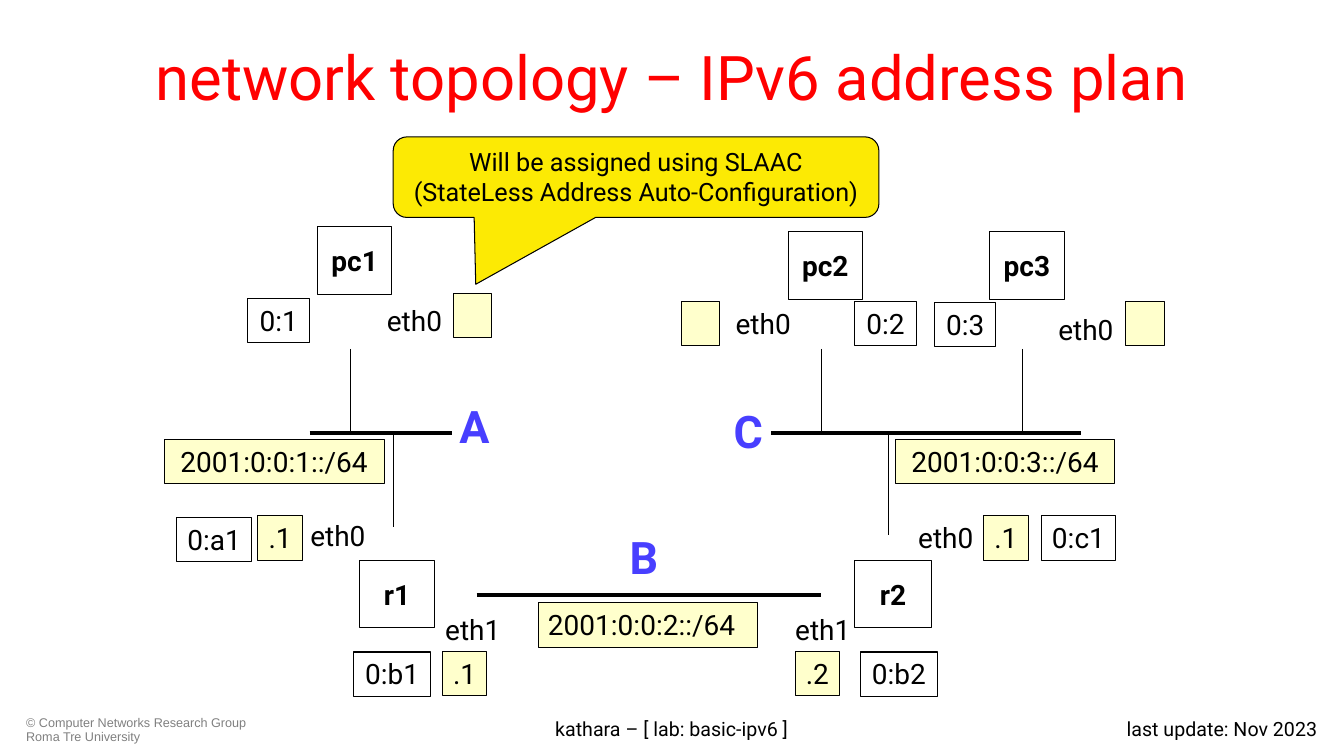
import pptx
import pptx.util
import pptx.dml.color
import pptx.enum.shapes
import pptx.enum.text
import pptx.oxml.ns
import lxml.etree

Cm, Pt = pptx.util.Cm, pptx.util.Pt
ALIGN = pptx.enum.text.PP_ALIGN
ANCHOR = pptx.enum.text.MSO_ANCHOR
PRESET = pptx.enum.shapes.MSO_SHAPE

COLORS = {"title": "FF0000", "black": "000000", "gray": "808080", "segment": "483FFF",
          "white": "FFFFFF", "address": "FFFFCC", "callout": "FCEA04"}

# Lengths in cm
TITLE = ("network topology – IPv6 address plan", 1.7, 0.33, 30.48, 3.18)
CALLOUT = ("Will be assigned using SLAAC\v(StateLess Address Auto-Configuration)",
           9.91, 3.45, 12.24, 2.03)
FOOTERS = [  # text, left, width, alignment, format
    ("© Computer Networks Research Group Roma Tre University", 0.41, 6.32, ALIGN.LEFT,
     {"size": 9, "name": "Arial", "color": "gray"}),
    ("kathara – [ lab: basic-ipv6 ]", 8.66, 16.54, ALIGN.CENTER, {"size": 14}),
    ("last update: Nov 2023", 25.73, 7.72, ALIGN.RIGHT, {"size": 14}),
]
FOOTER_TOP, FOOTER_HEIGHT = 17.93, 0.91

SEGMENTS = [  # letter, its left and top, line start, line end, line height
    ("A", 11.33, 9.93, 7.8, 11.38, 10.92),
    ("B", 15.62, 13.23, 12.01, 20.7, 14.99),
    ("C", 18.24, 10.06, 19.43, 27.25, 10.92),
]
DROPS = [  # x, top, bottom
    (8.84, 8.79, 10.92), (20.7, 8.79, 10.92), (25.78, 8.79, 10.92),
    (9.91, 10.92, 13.28), (22.4, 10.92, 13.49),
]
NODES = [  # name, left, top, width
    ("pc1", 8.0, 5.72, 1.88), ("pc2", 19.86, 5.84, 1.88), ("pc3", 24.94, 5.84, 1.88),
    ("r1", 9.07, 14.12, 1.88), ("r2", 21.54, 14.12, 1.93),
]
INTERFACES = [  # name, left, top
    ("eth0", 9.5, 7.52), ("eth0", 18.29, 7.59), ("eth0", 26.42, 7.75),
    ("eth0", 7.57, 12.95), ("eth0", 22.89, 12.98),
    ("eth1", 10.97, 15.32), ("eth1", 19.79, 15.32),
]
LABELS = {  # fill: text, left, top, width, alignment
    "address": [
        ("2001:0:0:1::/64", 4.14, 11.07, 5.54, ALIGN.CENTER),
        ("2001:0:0:2::/64", 13.56, 15.19, 5.54, ALIGN.LEFT),
        ("2001:0:0:3::/64", 22.56, 11.07, 5.54, ALIGN.CENTER),
        ("", 11.43, 7.39, 0.97, ALIGN.CENTER),
        ("", 17.17, 7.59, 0.97, ALIGN.CENTER),
        ("", 28.37, 7.59, 0.97, ALIGN.CENTER),
        (".1", 6.5, 13.0, 1.12, ALIGN.CENTER),
        (".1", 24.79, 13.0, 1.12, ALIGN.CENTER),
        (".1", 11.15, 16.41, 1.12, ALIGN.CENTER),
        (".2", 20.04, 16.41, 1.12, ALIGN.CENTER),
    ],
    "white": [
        ("0:1", 6.25, 7.52, 1.55, ALIGN.CENTER),
        ("0:2", 21.54, 7.59, 1.55, ALIGN.CENTER),
        ("0:3", 23.55, 7.62, 1.55, ALIGN.CENTER),
        ("0:a1", 4.45, 13.03, 1.9, ALIGN.CENTER),
        ("0:c1", 26.24, 13.0, 1.88, ALIGN.CENTER),
        ("0:b1", 8.92, 16.43, 1.93, ALIGN.CENTER),
        ("0:b2", 21.69, 16.43, 1.93, ALIGN.CENTER),
    ],
}
LABEL_HEIGHT = 1.12


def rgb(name):
    return pptx.dml.color.RGBColor.from_string(COLORS[name])


def write(shape, text, align=ALIGN.LEFT, anchor=ANCHOR.TOP, wrap=True,
          size=20, color="black", name="Roboto", bold=False):
    frame = shape.text_frame
    for key, value in {"word_wrap": wrap, "vertical_anchor": anchor,
                       "auto_size": pptx.enum.text.MSO_AUTO_SIZE.NONE}.items():
        setattr(frame, key, value)
    para = frame.paragraphs[0]
    para.text = text
    para.alignment = align
    for span in para.runs:
        for key, value in {"size": Pt(size), "name": name, "bold": bold}.items():
            setattr(span.font, key, value)
        span.font.color.rgb = rgb(color)


def add_text(page, text, left, top, width, height, **style):
    box = page.shapes.add_textbox(Cm(left), Cm(top), Cm(width), Cm(height))
    write(box, text, **style)
    return box


def add_box(page, text, left, top, width, height, fill, preset=PRESET.RECTANGLE, **style):
    box = page.shapes.add_shape(preset, Cm(left), Cm(top), Cm(width), Cm(height))
    box.shadow.inherit = False
    box.fill.solid()
    box.fill.fore_color.rgb = rgb(fill)
    box.line.color.rgb = rgb("black")
    box.line.width = Pt(0.75)
    if text:
        write(box, text, **style)
    return box


def add_line(page, x1, y1, x2, y2, width):
    line = page.shapes.add_connector(pptx.enum.shapes.MSO_CONNECTOR.STRAIGHT,
                                     Cm(x1), Cm(y1), Cm(x2), Cm(y2))
    line.line.color.rgb = rgb("black")
    line.line.width = Pt(width)
    lxml.etree.SubElement(line._element.spPr, pptx.oxml.ns.qn("a:effectLst"))


def main():
    deck = pptx.Presentation()
    deck.slide_width, deck.slide_height = Cm(33.87), Cm(19.05)
    page = deck.slides.add_slide(deck.slide_layouts[5])

    title = page.shapes.title
    for key, value in zip(("left", "top", "width", "height"), TITLE[1:]):
        setattr(title, key, Cm(value))
    write(title, TITLE[0], ALIGN.CENTER, ANCHOR.MIDDLE, size=44, color="title")

    for text, left, width, align, style in FOOTERS:
        box = add_text(page, text, left, FOOTER_TOP, width, FOOTER_HEIGHT, align=align, **style)
        if align == ALIGN.LEFT:
            box.text_frame.paragraphs[0].line_spacing = 0.9

    for x, top, bottom in DROPS:
        add_line(page, x, top, x, bottom, 0.75)
    for letter, left, top, start, end, y in SEGMENTS:
        add_line(page, start, y, end, y, 3)
        add_text(page, letter, left, top, 1.3, 1.63, wrap=False,
                 size=32, color="segment", bold=True)
    for name, left, top, width in NODES:
        add_box(page, name, left, top, width, 1.7, "white", align=ALIGN.CENTER,
                anchor=ANCHOR.MIDDLE, wrap=False, bold=True)
    for name, left, top in INTERFACES:
        add_text(page, name, left, top, 1.9, LABEL_HEIGHT, wrap=False)
    for fill, labels in LABELS.items():
        for text, left, top, width, align in labels:
            box = add_box(page, text, left, top, width, LABEL_HEIGHT, fill, align=align)
            if align == ALIGN.CENTER:
                box.text_frame.margin_left = box.text_frame.margin_right = 0

    callout = add_box(page, *CALLOUT, "callout", PRESET.ROUNDED_RECTANGULAR_CALLOUT,
                      align=ALIGN.CENTER, size=18)
    for index, value in enumerate((-0.33, 1.33, 0.17)):
        callout.adjustments[index] = value

    deck.save("out.pptx")


if __name__ == "__main__":
    main()
